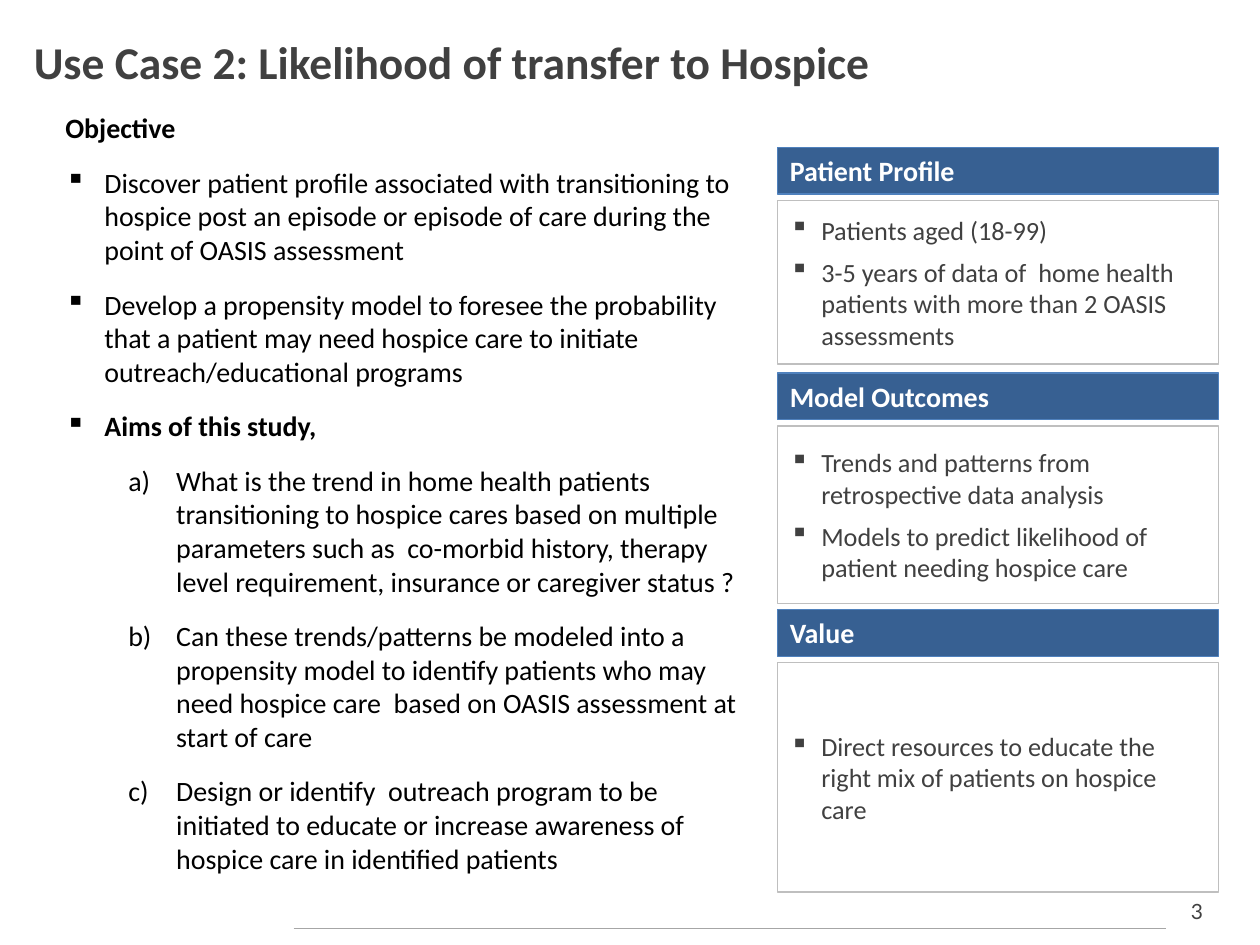
from dataclasses import dataclass

from lxml import etree
from pptx import Presentation
from pptx.dml.color import RGBColor
from pptx.enum.shapes import MSO_CONNECTOR, MSO_SHAPE
from pptx.enum.text import MSO_ANCHOR, PP_ALIGN
from pptx.oxml.ns import qn
from pptx.util import Inches, Pt

RECTANGLE = MSO_SHAPE.RECTANGLE
STRAIGHT = MSO_CONNECTOR.STRAIGHT
TOP, MIDDLE = MSO_ANCHOR.TOP, MSO_ANCHOR.MIDDLE
LEFT, CENTER = PP_ALIGN.LEFT, PP_ALIGN.CENTER


@dataclass(frozen=True)
class Theme:
    font: str = "Calibri"
    number_font: str = "Lato"
    ink: str = "000000"
    grey: str = "404040"
    white: str = "FFFFFF"
    header_fill: str = "376092"
    header_line: str = "4F81BD"
    panel_line: str = "BFBFBF"
    footer_line: str = "A6A6A6"
    title_size: float = 26
    body_size: float = 16
    panel_size: float = 15
    number_size: float = 12
    line_width: float = 0.75


THEME = Theme()
SLIDE_WIDTH, SLIDE_HEIGHT = 10, 7.5

# Right column: header bar, small gap, then the panel body
PANEL_LEFT, PANEL_WIDTH = 6.17, 3.5
HEADER_HEIGHT, HEADER_GAP = 0.37, 0.05

# Bullet styles: left margin, hanging indent, level, bullet tag, bullet attributes
SQUARE = ("a:buChar", {"char": "▪"})
OBJECTIVE_BULLET = (0.31, 0.31, 0, *SQUARE)
PANEL_BULLET = (0.25, 0.25, 0, *SQUARE)
LETTERED = (0.88, 0.38, 1, "a:buAutoNum", {"type": "alphaLcParenR"})

OBJECTIVES = [
    ("Objective", None, True),
    ("Discover patient profile associated with transitioning to hospice post an "
     "episode or episode of care during the point of OASIS assessment",
     OBJECTIVE_BULLET, False),
    ("Develop a propensity model to foresee the probability that a patient may need "
     "hospice care to initiate outreach/educational programs",
     OBJECTIVE_BULLET, False),
    ("Aims of this study,", OBJECTIVE_BULLET, True),
    ("What is the trend in home health patients transitioning to hospice cares based "
     "on multiple parameters such as  co-morbid history, therapy level requirement, "
     "insurance or caregiver status ?", LETTERED, False),
    ("Can these trends/patterns be modeled into a propensity model to identify "
     "patients who may need hospice care  based on OASIS assessment at start of care",
     LETTERED, False),
    ("Design or identify  outreach program to be initiated to educate or increase "
     "awareness of hospice care in identified patients", LETTERED, False),
]

# Heading, top of the header, height of the body, points
PANELS = [
    ("Patient Profile", 1.17, 1.3, [
        "Patients aged (18-99)",
        "3-5 years of data of  home health patients with more than 2 OASIS assessments",
    ]),
    ("Model Outcomes", 2.96, 1.41, [
        "Trends and patterns from retrospective data analysis",
        "Models to predict likelihood of patient needing hospice care",
    ]),
    ("Value", 4.84, 1.82, [
        "Direct resources to educate the right mix of patients on hospice care",
    ]),
]


def set_bullet(paragraph, bullet):
    margin, hanging, level, tag, attributes = bullet
    paragraph.level = level
    properties = paragraph._p.get_or_add_pPr()
    properties.set("marL", str(Inches(margin)))
    properties.set("indent", str(-Inches(hanging)))
    etree.SubElement(properties, qn(tag), attributes)


def write(frame, lines, size, color, font=THEME.font, before=0, anchor=TOP, align=LEFT):
    """Fill a text frame with (text, bullet style, bold) lines."""
    frame.word_wrap = True
    frame.vertical_anchor = anchor
    for index, (text, bullet, bold) in enumerate(lines):
        paragraph = frame.add_paragraph() if index else frame.paragraphs[0]
        paragraph.alignment = align
        paragraph.space_before = Pt(before)
        if bullet:
            set_bullet(paragraph, bullet)
        run = paragraph.add_run()
        run.text = text
        for name, value in {"name": font, "size": Pt(size), "bold": bold}.items():
            setattr(run.font, name, value)
        run.font.color.rgb = RGBColor.from_string(color)


def add_text(slide, box, lines, **text_format):
    textbox = slide.shapes.add_textbox(*map(Inches, box))
    write(textbox.text_frame, lines, **text_format)


def set_line(line, color):
    line.color.rgb = RGBColor.from_string(color)
    line.width = Pt(THEME.line_width)


def add_box(slide, box, lines, line_color, fill=None, **text_format):
    rectangle = slide.shapes.add_shape(RECTANGLE, *map(Inches, box))
    rectangle.shadow.inherit = False
    if fill:
        rectangle.fill.solid()
        rectangle.fill.fore_color.rgb = RGBColor.from_string(fill)
    else:
        rectangle.fill.background()
    set_line(rectangle.line, line_color)
    write(rectangle.text_frame, lines, **text_format)


def add_panel(slide, heading, top, body_height, points):
    body_top = top + HEADER_HEIGHT + HEADER_GAP
    add_box(slide, (PANEL_LEFT, body_top, PANEL_WIDTH, body_height),
            [(point, PANEL_BULLET, False) for point in points],
            THEME.panel_line, size=THEME.panel_size, color=THEME.grey,
            before=6, anchor=MIDDLE)
    add_box(slide, (PANEL_LEFT, top, PANEL_WIDTH, HEADER_HEIGHT),
            [(heading, None, True)], THEME.header_line, fill=THEME.header_fill,
            size=THEME.body_size, color=THEME.white)


def add_footer(slide, number):
    add_text(slide, (9.25, 7.08, 0.5, 0.3), [(number, None, False)],
             size=THEME.number_size, color=THEME.grey,
             font=THEME.number_font, align=CENTER)
    rule = slide.shapes.add_connector(
        STRAIGHT, *map(Inches, (2.33, 7.37, 9.25, 7.37)))
    set_line(rule.line, THEME.footer_line)
    etree.SubElement(rule._element.spPr, qn("a:effectLst"))


def main():
    presentation = Presentation()
    presentation.slide_width = Inches(SLIDE_WIDTH)
    presentation.slide_height = Inches(SLIDE_HEIGHT)
    slide = presentation.slides.add_slide(presentation.slide_layouts[6])

    add_footer(slide, "3")
    add_text(slide, (0.17, 0.17, 9.83, 0.63),
             [("Use Case 2: Likelihood of transfer to Hospice", None, True)],
             size=THEME.title_size, color=THEME.grey, anchor=MIDDLE)
    add_text(slide, (0.42, 0.83, 5.61, 6.25), OBJECTIVES,
             size=THEME.body_size, color=THEME.ink, before=12)
    for panel in PANELS:
        add_panel(slide, *panel)

    presentation.save("out.pptx")


if __name__ == "__main__":
    main()
